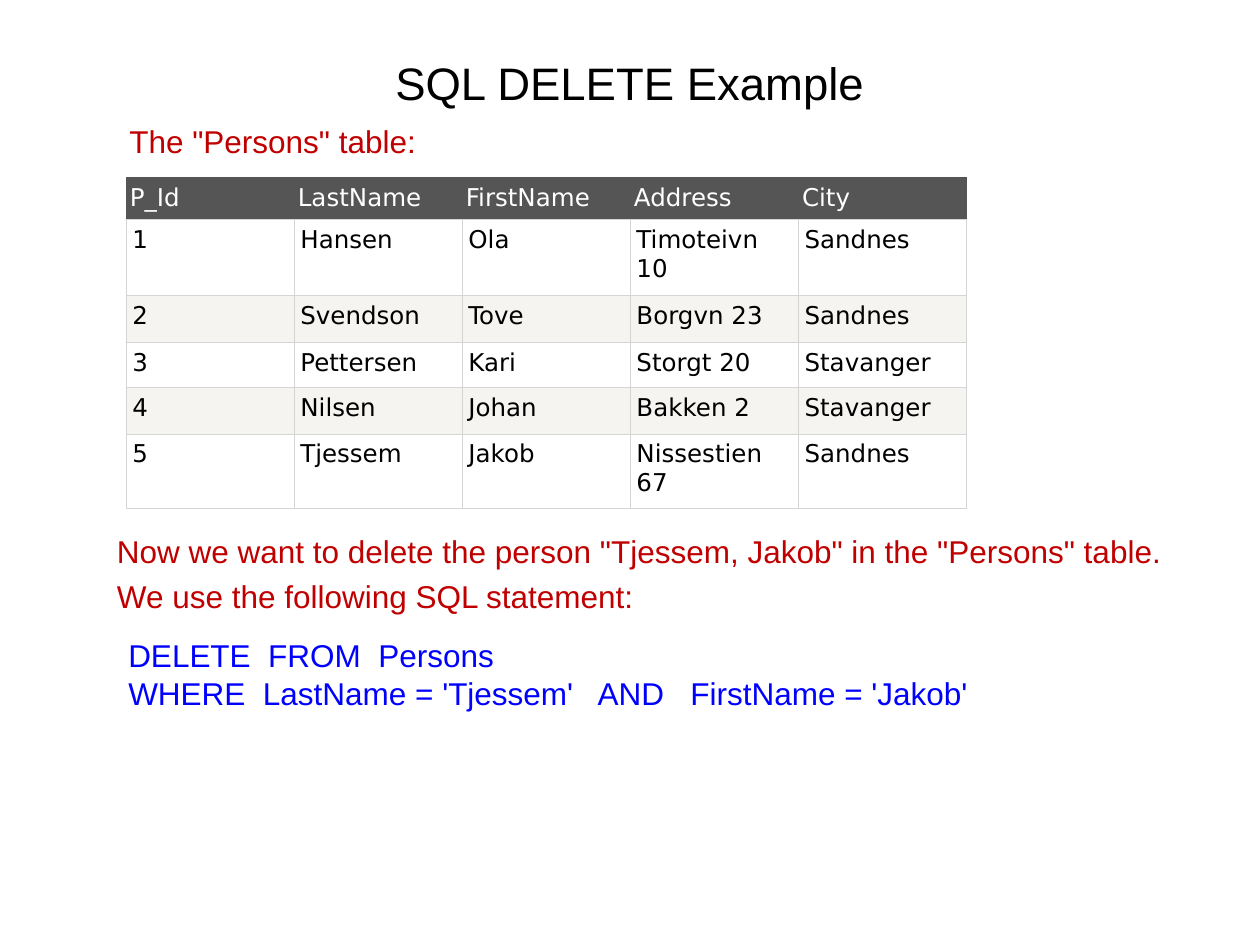
from dataclasses import dataclass

from pptx import Presentation
from pptx.dml.color import RGBColor as Rgb
from pptx.enum.text import MSO_ANCHOR as Anchor, MSO_AUTO_SIZE as Auto
from pptx.enum.text import PP_ALIGN as Align
from pptx.oxml.ns import qn
from pptx.util import Inches, Pt
from lxml.etree import SubElement as Sub


@dataclass(frozen=True)
class Theme:
    """Colours, fonts and type sizes of the slide."""
    black: str = "000000"
    white: str = "FFFFFF"
    red: str = "C00000"
    blue: str = "0000FF"
    head: str = "555555"
    band: str = "F6F4F0"
    rule: str = "D4D4D4"
    sans: str = "Arial"
    grid: str = "DejaVu Sans"
    title: int = 26
    body: int = 18
    cell: int = 14


THEME = Theme()
ROWS = [
    ["P_Id", "LastName", "FirstName", "Address", "City"],
    ["1", "Hansen", "Ola", "Timoteivn 10", "Sandnes"],
    ["2", "Svendson", "Tove", "Borgvn 23", "Sandnes"],
    ["3", "Pettersen", "Kari", "Storgt 20", "Stavanger"],
    ["4", "Nilsen", "Johan", "Bakken 2", "Stavanger"],
    ["5", "Tjessem", "Jakob", "Nissestien 67", "Sandnes"],
]
TALL = [0.33, 0.6, 0.37, 0.36, 0.37, 0.59]
WIDE = 6.67


def apply(item, form):
    """Set each named format value on an item."""
    for name, value in form.items():
        setattr(item, name, value)


def style(para, size, color, face):
    """Give a paragraph its type size, colour and font."""
    apply(para.font, {"size": Pt(size), "name": face})
    para.font.color.rgb = Rgb.from_string(color)


def add_text(slide, spot, lines, size, color, align, frame=None):
    """Add a text box with one paragraph per line."""
    box = slide.shapes.add_textbox(*map(Inches, spot)).text_frame
    apply(box, {"word_wrap": True, **(frame or {})})
    for num, line in enumerate(lines):
        para = box.add_paragraph() if num else box.paragraphs[0]
        apply(para, {"text": line, "alignment": align})
        if num:
            para.space_before = Pt(4.5)
        style(para, size, color, THEME.sans)


def add_edges(cell, color):
    """Draw thin borders, with the light rule always at the bottom."""
    props = cell._tc.get_or_add_tcPr()
    for side in "LRTB":
        line = Sub(props, qn(f"a:ln{side}"), w=str(Pt(0.34)))
        fill = Sub(line, qn("a:solidFill"))
        Sub(fill, qn("a:srgbClr"), val=THEME.rule if side == "B" else color)


def fill_cell(cell, text, row):
    """Write and format one table cell by its row number."""
    head = row == 0
    back = THEME.head if head else (THEME.white, THEME.band)[(row + 1) % 2]
    side = Inches(0.03 if head else 0.05)
    edge = Inches(0.05)
    apply(cell, {"text": text, "margin_left": side, "margin_right": side,
                 "margin_top": edge, "margin_bottom": edge})
    style(cell.text_frame.paragraphs[0], THEME.cell,
          THEME.white if head else THEME.black, THEME.grid)
    add_edges(cell, THEME.head if head else THEME.rule)
    cell.fill.solid()
    cell.fill.fore_color.rgb = Rgb.from_string(back)


def add_grid(slide, left, top):
    """Add the table of persons."""
    count = len(ROWS[0])
    spot = map(Inches, (left, top, WIDE, sum(TALL)))
    table = slide.shapes.add_table(len(ROWS), count, *spot).table
    apply(table, {"first_row": True, "horz_banding": False})
    for col in table.columns:
        col.width = Inches(WIDE / count)
    for row, (texts, tall) in enumerate(zip(ROWS, TALL)):
        table.rows[row].height = Inches(tall)
        for col, text in enumerate(texts):
            fill_cell(table.cell(row, col), text, row)


def main():
    """Build and save the slide."""
    deck = Presentation()
    apply(deck, {"slide_width": Inches(10), "slide_height": Inches(7.5)})
    slide = deck.slides.add_slide(deck.slide_layouts[6])
    thin, slim = Inches(0.01), Inches(0.05)
    add_text(slide, (0.67, 0.39, 8.66, 0.52), ["SQL DELETE Example"],
             THEME.title, THEME.black, Align.CENTER,
             {"vertical_anchor": Anchor.MIDDLE, "margin_left": thin,
              "margin_right": thin, "margin_top": thin, "margin_bottom": thin})
    add_text(slide, (0.93, 0.92, 2.47, 0.4), ['The "Persons" table:'],
             THEME.body, THEME.red, Align.CENTER,
             {"word_wrap": False, "auto_size": Auto.SHAPE_TO_FIT_TEXT,
              "margin_left": slim, "margin_right": slim})
    add_grid(slide, 1, 1.41)
    add_text(slide, (0.83, 4.17, 8.75, 0.77),
             ['Now we want to delete the person "Tjessem, Jakob" '
              'in the "Persons" table.',
              "We use the following SQL statement:"],
             THEME.body, THEME.red, Align.JUSTIFY)
    add_text(slide, (0.92, 5, 8.67, 0.7),
             ["DELETE  FROM  Persons\v"
              "WHERE  LastName = 'Tjessem'   AND   FirstName = 'Jakob'"],
             THEME.body, THEME.blue, Align.LEFT)
    deck.save("out.pptx")


if __name__ == "__main__":
    main()
